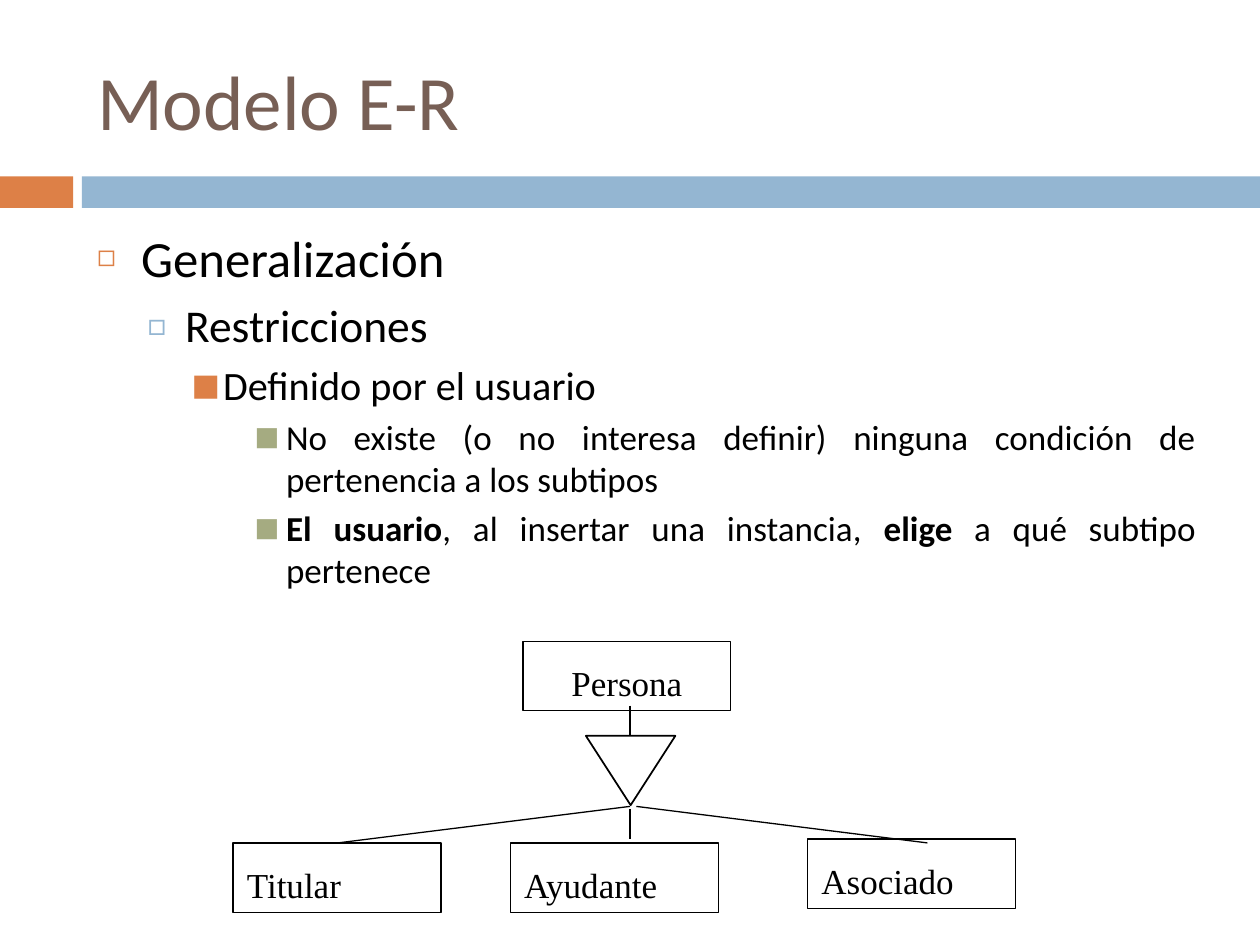
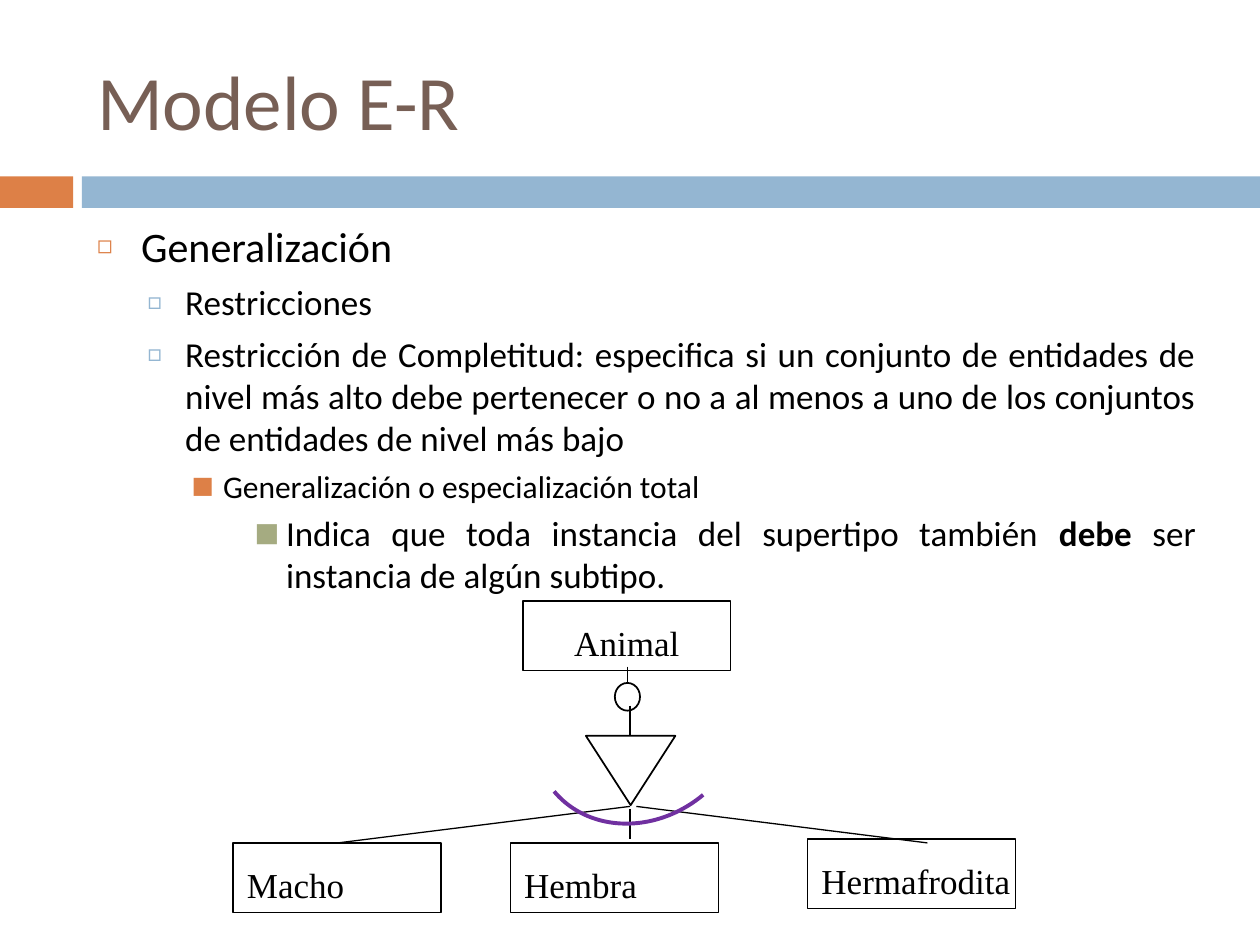
from lxml import etree
from pptx import Presentation
from pptx.dml.color import RGBColor
from pptx.enum.shapes import MSO_CONNECTOR, MSO_SHAPE
from pptx.enum.text import MSO_ANCHOR, MSO_AUTO_SIZE, PP_ALIGN
from pptx.oxml.ns import qn
from pptx.util import Inches, Pt

LEFT, CENTER, JUSTIFY = PP_ALIGN.LEFT, PP_ALIGN.CENTER, PP_ALIGN.JUSTIFY
TOP, MIDDLE = MSO_ANCHOR.TOP, MSO_ANCHOR.MIDDLE
NO_FIT = MSO_AUTO_SIZE.NONE
STRAIGHT = MSO_CONNECTOR.STRAIGHT
RECTANGLE, PROCESS = MSO_SHAPE.RECTANGLE, MSO_SHAPE.FLOWCHART_PROCESS
TRIANGLE, OVAL, ARC = MSO_SHAPE.ISOSCELES_TRIANGLE, MSO_SHAPE.OVAL, MSO_SHAPE.ARC

COLORS = {
    "title": "775F55",
    "text": "000000",
    "orange": "DD8047",
    "blue": "94B6D2",
    "green": "A5AB81",
    "purple": "7030A0",
}
BODY_FONT, DIAGRAM_FONT = "Calibri", "Times New Roman"

# Per outline level: indent, hanging, space before, bullet, colour, bullet size %
LEVELS = [
    (0.35, 0.35, 7, "◻", "orange", 60),
    (0.7, 0.3, 5.5, "□", "blue", 70),
    (1.0, 0.25, 5, "■", "orange", 75),
    (1.5, 0.25, 4, "■", "green", 75),
]

# Outline lines: level, size, text with *bold* parts
USER_DEFINED = [
    (0, 29, "Generalización"),
    (1, 26, "Restricciones"),
    (2, 23, "Definido por el usuario"),
    (3, 20, "No existe (o no interesa definir) ninguna condición de pertenencia "
            "a los subtipos"),
    (3, 20, "*El usuario*, al insertar una instancia, *elige* a qué subtipo pertenece"),
]
COMPLETENESS = [
    (0, 24, "Generalización"),
    (1, 20, "Restricciones"),
    (1, 20, "Restricción de Completitud: especifica si un conjunto de entidades de "
            "nivel más alto debe pertenecer o no a al menos a uno de los conjuntos "
            "de entidades de nivel más bajo"),
    (2, 18, "Generalización o especialización total"),
    (3, 20, "Indica que toda instancia del supertipo también *debe* ser instancia "
            "de algún subtipo."),
]

SUBTYPE_PLACES = [(1.85, 6.69), (4.05, 6.69), (6.41, 6.66)]
HIERARCHY_LINES = [
    (5, 6.4, 2.68, 6.69),
    (5.05, 6.4, 7.36, 6.69),
    (5, 5.6, 5, 5.84),
    (5, 6.42, 5, 6.66),
]


def color(name):
    return RGBColor.from_string(COLORS[name])


def style_span(span, font, size, color_name, bold=False):
    span.font.name = font
    span.font.size = Pt(size)
    span.font.bold = bold
    span.font.color.rgb = color(color_name)


def place(box, left, top, width, height):
    box.left, box.top = Inches(left), Inches(top)
    box.width, box.height = Inches(width), Inches(height)


def add_band(page, left, width, color_name):
    band = page.shapes.add_shape(
        RECTANGLE, Inches(left), Inches(1.4), Inches(width), Inches(0.25))
    band.shadow.inherit = False
    band.fill.solid()
    band.fill.fore_color.rgb = color(color_name)
    band.line.fill.background()


def add_outline_shape(shapes, kind, left, top, width, height,
                      weight=1, color_name="text", rotation=0):
    shape = shapes.add_shape(
        kind, Inches(left), Inches(top), Inches(width), Inches(height))
    shape.shadow.inherit = False
    shape.fill.background()
    shape.line.color.rgb = color(color_name)
    shape.line.width = Pt(weight)
    shape.rotation = rotation


def add_line(page, *ends):
    line = page.shapes.add_connector(STRAIGHT, *(Inches(end) for end in ends))
    line.line.color.rgb = color("text")
    line.line.width = Pt(0.75)
    etree.SubElement(line._element.spPr, qn("a:effectLst"))


def add_entity(page, name, left, top, label_width=1.74, align=LEFT):
    group = page.shapes.add_group_shape()
    label = group.shapes.add_textbox(
        Inches(left), Inches(top + 0.1), Inches(label_width), Inches(0.45))
    frame = label.text_frame
    frame.word_wrap = True
    frame.margin_left = frame.margin_right = Inches(0.11)
    frame.margin_top = frame.margin_bottom = Inches(0.06)
    frame.text = name
    para = frame.paragraphs[0]
    para.alignment = align
    style_span(para.runs[0], DIAGRAM_FONT, 20, "text")
    add_outline_shape(group.shapes, PROCESS, left, top, 1.65, 0.55, weight=0.75)


def set_bullet(para, level):
    indent, hanging, _, mark, color_name, percent = LEVELS[level]
    props = para._p.get_or_add_pPr()
    props.set("marL", str(Inches(indent)))
    props.set("indent", str(-Inches(hanging)))
    tint = etree.SubElement(props, qn("a:buClr"))
    etree.SubElement(tint, qn("a:srgbClr"), val=COLORS[color_name])
    etree.SubElement(props, qn("a:buSzPct"), val=str(percent * 1000))
    etree.SubElement(props, qn("a:buFont"), typeface=BODY_FONT)
    etree.SubElement(props, qn("a:buChar"), char=mark)


def fill_outline(body, lines):
    frame = body.text_frame
    frame.auto_size = NO_FIT
    frame.vertical_anchor = TOP
    for number, (level, size, text) in enumerate(lines):
        para = frame.add_paragraph() if number else frame.paragraphs[0]
        para.level = level
        para.alignment = JUSTIFY
        para.space_before = Pt(LEVELS[level][2] if number else 0)
        set_bullet(para, level)
        for part, words in enumerate(text.split("*")):
            if words:
                span = para.add_run()
                span.text = words
                style_span(span, BODY_FONT, size, "text", bold=part % 2 == 1)


def add_page(deck, lines, body_top, body_height):
    page = deck.slides.add_slide(deck.slide_layouts[1])
    add_band(page, 0, 0.58, "orange")
    add_band(page, 0.65, 9.35, "blue")

    # Title
    title = page.shapes.title
    place(title, 0.67, 0.25, 8.92, 1.08)
    frame = title.text_frame
    frame.text = "Modelo E-R"
    frame.auto_size = NO_FIT
    frame.vertical_anchor = MIDDLE
    frame.paragraphs[0].alignment = LEFT
    style_span(frame.paragraphs[0].runs[0], BODY_FONT, 44, "title")

    # Outline
    body = page.placeholders[1]
    place(body, 0.67, body_top, 8.92, body_height)
    fill_outline(body, lines)
    return page


def add_hierarchy(page, supertype, supertype_top, subtypes):
    add_entity(page, supertype, 4.15, supertype_top, 1.65, CENTER)
    for name, (left, top) in zip(subtypes, SUBTYPE_PLACES):
        add_entity(page, name, left, top)
    for ends in HIERARCHY_LINES:
        add_line(page, *ends)
    add_outline_shape(page.shapes, TRIANGLE, 4.65, 5.84, 0.71, 0.55, rotation=180)


def add_total_marks(page):
    add_outline_shape(page.shapes, ARC, 4.19, 4.93, 1.78, 1.56,
                      weight=2.25, color_name="purple", rotation=140.1)
    add_outline_shape(page.shapes, OVAL, 4.88, 5.42, 0.2, 0.22)
    add_line(page, 4.98, 5.29, 4.98, 5.42)


def main():
    deck = Presentation()
    deck.slide_width, deck.slide_height = Inches(10), Inches(7.5)

    # User-defined restriction
    page = add_page(deck, USER_DEFINED, 1.75, 4.92)
    add_hierarchy(page, "Persona", 5.09, ["Titular", "Ayudante", "Asociado"])

    # Completeness restriction
    page = add_page(deck, COMPLETENESS, 1.7, 3.07)
    add_hierarchy(page, "Animal", 4.77, ["Macho", "Hembra", "Hermafrodita"])
    add_total_marks(page)

    deck.save("out.pptx")


if __name__ == "__main__":
    main()
